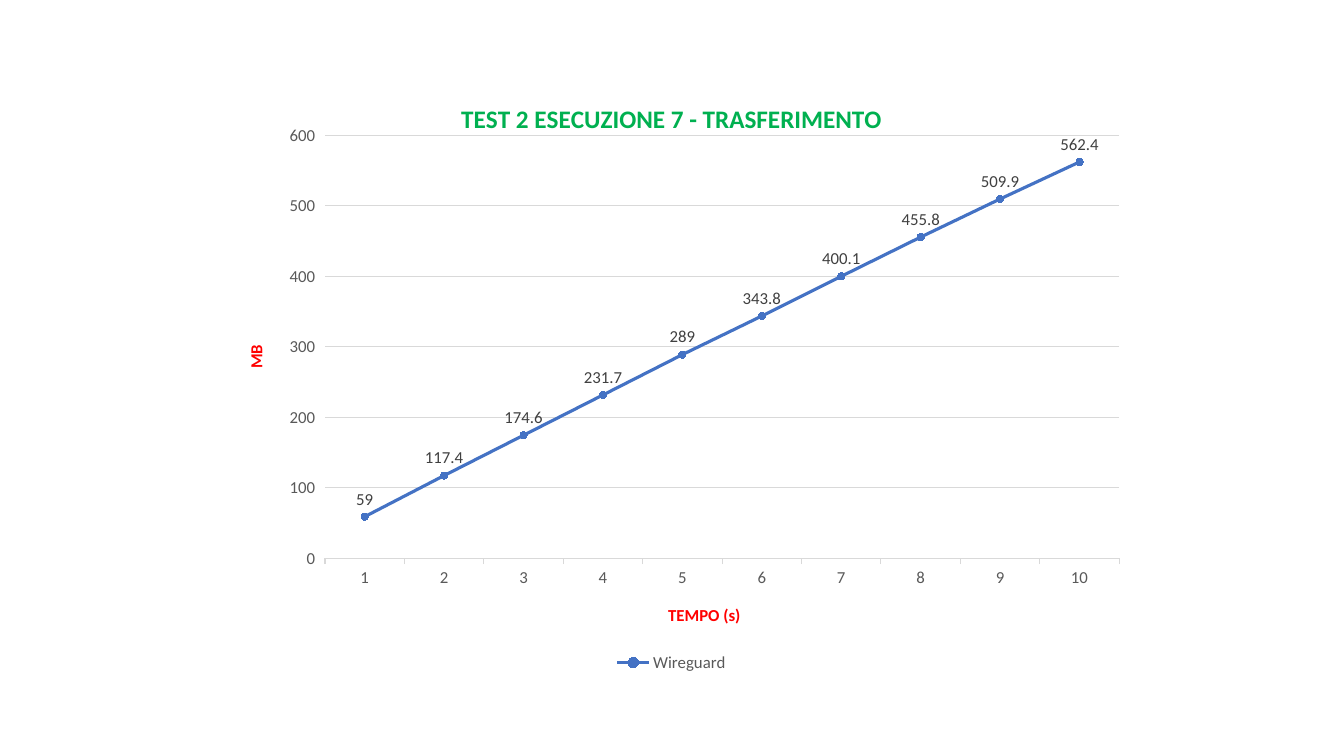
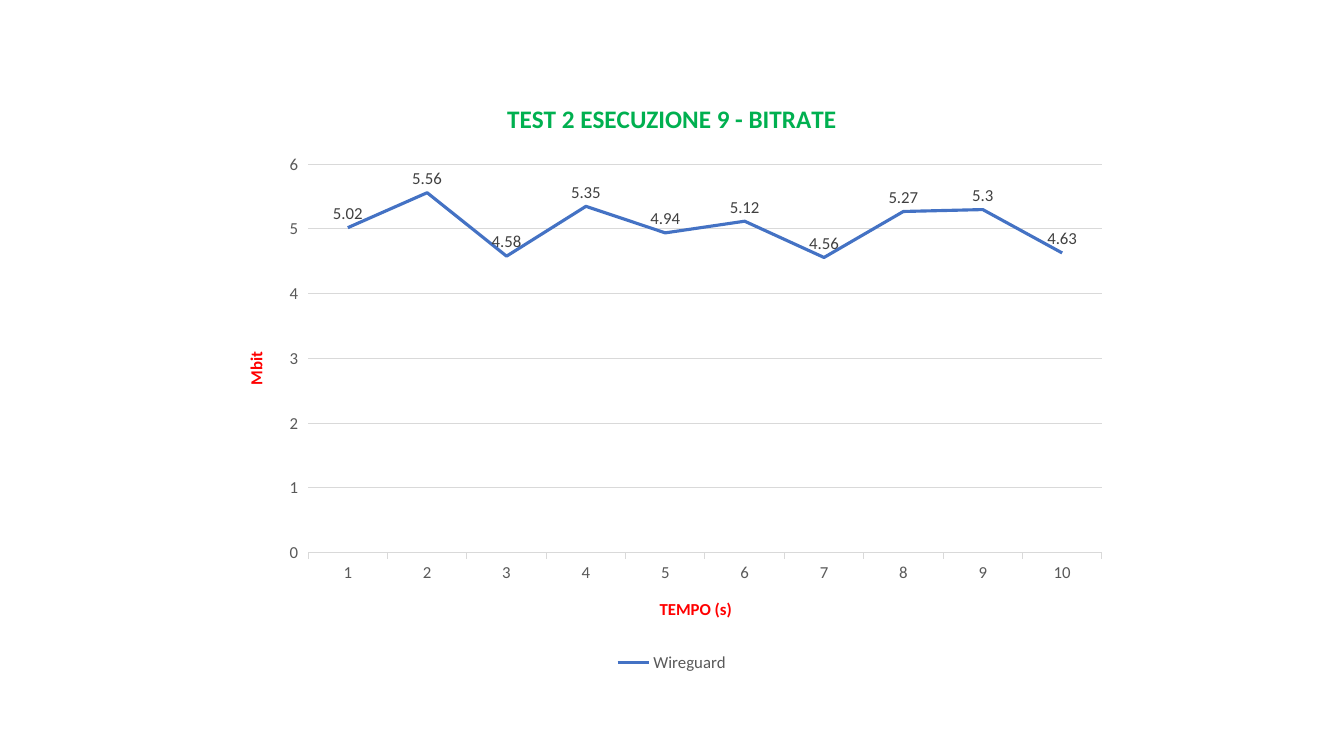
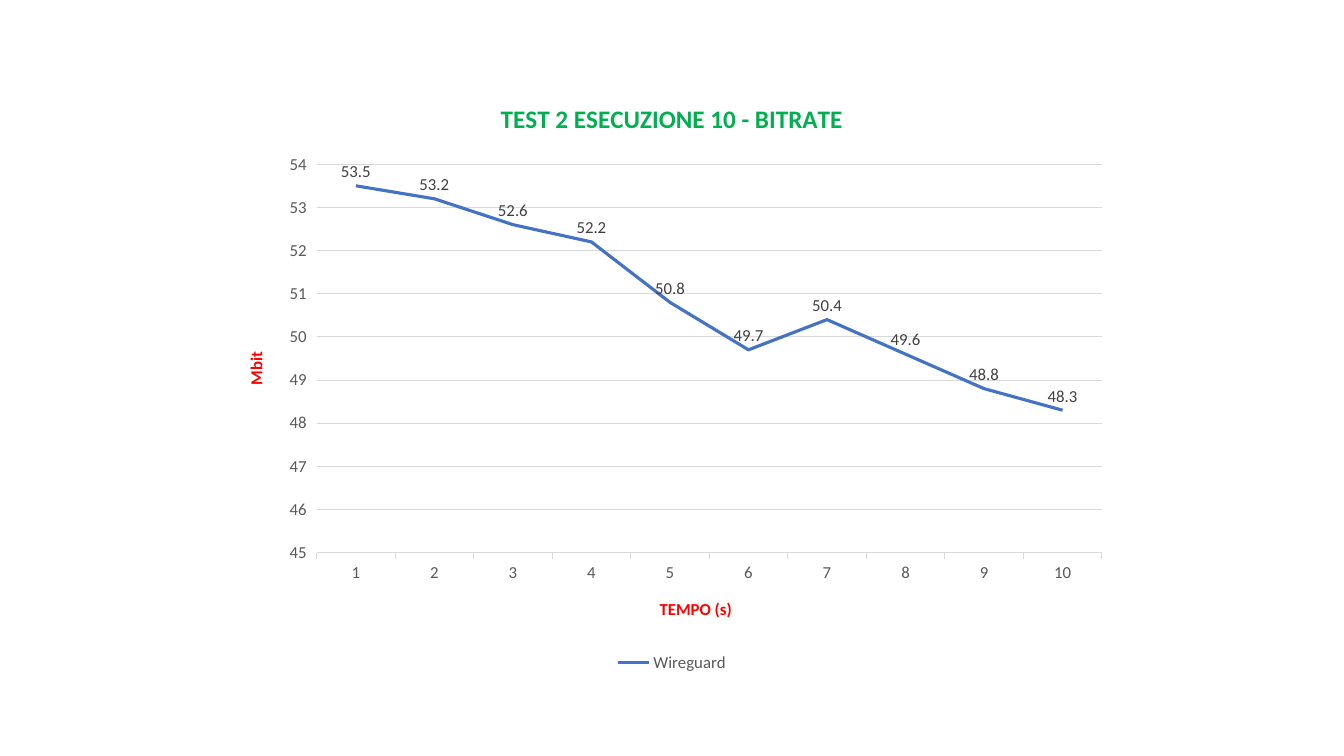
import lxml.etree
import pptx
import pptx.chart.data
import pptx.dml.color
import pptx.enum.chart
import pptx.oxml.ns
import pptx.util

Cm, Pt = pptx.util.Cm, pptx.util.Pt
qn = pptx.oxml.ns.qn
XL = pptx.enum.chart

COLORS = {
    "background": "FFFFFF",
    "title": "00B050",
    "axis_title": "FF0000",
    "series": "4472C4",
    "grid": "D9D9D9",
    "axis_text": "595959",
    "value_label": "404040",
    "base": "000000",
}
FONT = "Calibri"
SLIDE_SIZE = Cm(33.87), Cm(19.05)
CHART_BOX = Cm(5.64), Cm(2), Cm(22.58), Cm(15.05)

TESTS = [
    {
        "title": "TEST 2 ESECUZIONE 7 - TRASFERIMENTO",
        "unit": "MB",
        "readings": [59, 117.4, 174.6, 231.7, 289, 343.8, 400.1, 455.8, 509.9, 562.4],
        "markers": True,
        "value_range": (0, 600),
        "plot_box": {"x": 0.113, "y": 0.094, "w": 0.887, "h": 0.708},
    },
    {
        "title": "TEST 2 ESECUZIONE 9 - BITRATE",
        "unit": "Mbit",
        "readings": [5.02, 5.56, 4.58, 5.35, 4.94, 5.12, 4.56, 5.27, 5.3, 4.63],
    },
    {
        "title": "TEST 2 ESECUZIONE 10 - BITRATE",
        "unit": "Mbit",
        "readings": [53.5, 53.2, 52.6, 52.2, 50.8, 49.7, 50.4, 49.6, 48.8, 48.3],
    },
]


def rgb(role):
    return pptx.dml.color.RGBColor.from_string(COLORS[role])


def style_font(font, color, size=12, bold=False):
    font.name = FONT
    font.size = Pt(size)
    font.bold = bold
    font.color.rgb = rgb(color)


def write_text(frame, text, **font_format):
    run = frame.paragraphs[0].add_run()
    run.text = text
    style_font(run.font, **font_format)


def style_line(line, color, width):
    line.color.rgb = rgb(color)
    line.width = Pt(width)


def style_axis(axis, title):
    write_text(axis.axis_title.text_frame, title, color="axis_title", bold=True)
    style_font(axis.tick_labels.font, "axis_text")
    axis.major_tick_mark = XL.XL_TICK_MARK.OUTSIDE
    axis.minor_tick_mark = XL.XL_TICK_MARK.NONE


def style_axes(chart, unit, value_range):
    time_axis, value_axis = chart.category_axis, chart.value_axis
    style_axis(time_axis, "TEMPO (s)")
    time_axis.has_major_gridlines = False
    style_line(time_axis.format.line, "grid", 0.75)

    style_axis(value_axis, unit)
    body = value_axis.axis_title.text_frame._txBody.find(qn("a:bodyPr"))
    body.set("rot", "-5400000")
    body.set("vert", "horz")
    value_axis.has_major_gridlines = True
    style_line(value_axis.major_gridlines.format.line, "grid", 0.75)
    value_axis.format.line.fill.background()
    value_axis.minimum_scale, value_axis.maximum_scale = value_range


def style_series(series, markers):
    series.smooth = False
    style_line(series.format.line, "series", 2.25)
    if markers:
        series.marker.style = XL.XL_MARKER_STYLE.CIRCLE
        series.marker.size = 5
        series.marker.format.fill.solid()
        series.marker.format.fill.fore_color.rgb = rgb("series")
        style_line(series.marker.format.line, "series", 0.75)
    else:
        series.marker.style = XL.XL_MARKER_STYLE.NONE
    labels = series.data_labels
    labels.show_value = True
    labels.position = XL.XL_LABEL_POSITION.ABOVE
    style_font(labels.font, "value_label")


def place_plot(chart, plot_box):
    """Fix the inner plot area, given as fractions of the chart."""
    plot_area = chart._chartSpace.find(".//" + qn("c:plotArea"))
    for automatic in plot_area.findall(qn("c:layout")):
        plot_area.remove(automatic)
    layout = lxml.etree.Element(qn("c:layout"))
    manual = lxml.etree.SubElement(layout, qn("c:manualLayout"))
    settings = {"layoutTarget": "inner", "xMode": "edge", "yMode": "edge", **plot_box}
    for name, value in settings.items():
        lxml.etree.SubElement(manual, qn("c:" + name)).set("val", str(value))
    plot_area.insert(0, layout)


def add_test_chart(slide, box, title, unit, readings, markers=False,
                   value_range=(None, None), plot_box=None):
    data = pptx.chart.data.CategoryChartData()
    data.categories = [str(second) for second in range(1, len(readings) + 1)]
    data.add_series("Wireguard", readings)
    kind = XL.XL_CHART_TYPE.LINE_MARKERS if markers else XL.XL_CHART_TYPE.LINE
    chart = slide.shapes.add_chart(kind, *box, data).chart
    style_font(chart.font, "base", size=10)

    chart.has_title = True
    write_text(chart.chart_title.text_frame, title, color="title", size=18, bold=True)
    chart.has_legend = True
    chart.legend.position = XL.XL_LEGEND_POSITION.BOTTOM
    chart.legend.include_in_layout = False
    style_font(chart.legend.font, "axis_text")

    style_axes(chart, unit, value_range)
    chart.plots[0].vary_by_categories = False
    style_series(chart.plots[0].series[0], markers)
    if plot_box:
        place_plot(chart, plot_box)


def main():
    deck = pptx.Presentation()
    deck.slide_width, deck.slide_height = SLIDE_SIZE
    background = deck.slide_master.background.fill
    background.solid()
    background.fore_color.rgb = rgb("background")
    for test in TESTS:
        slide = deck.slides.add_slide(deck.slide_layouts[6])
        add_test_chart(slide, CHART_BOX, **test)
    deck.save("out.pptx")


if __name__ == "__main__":
    main()
